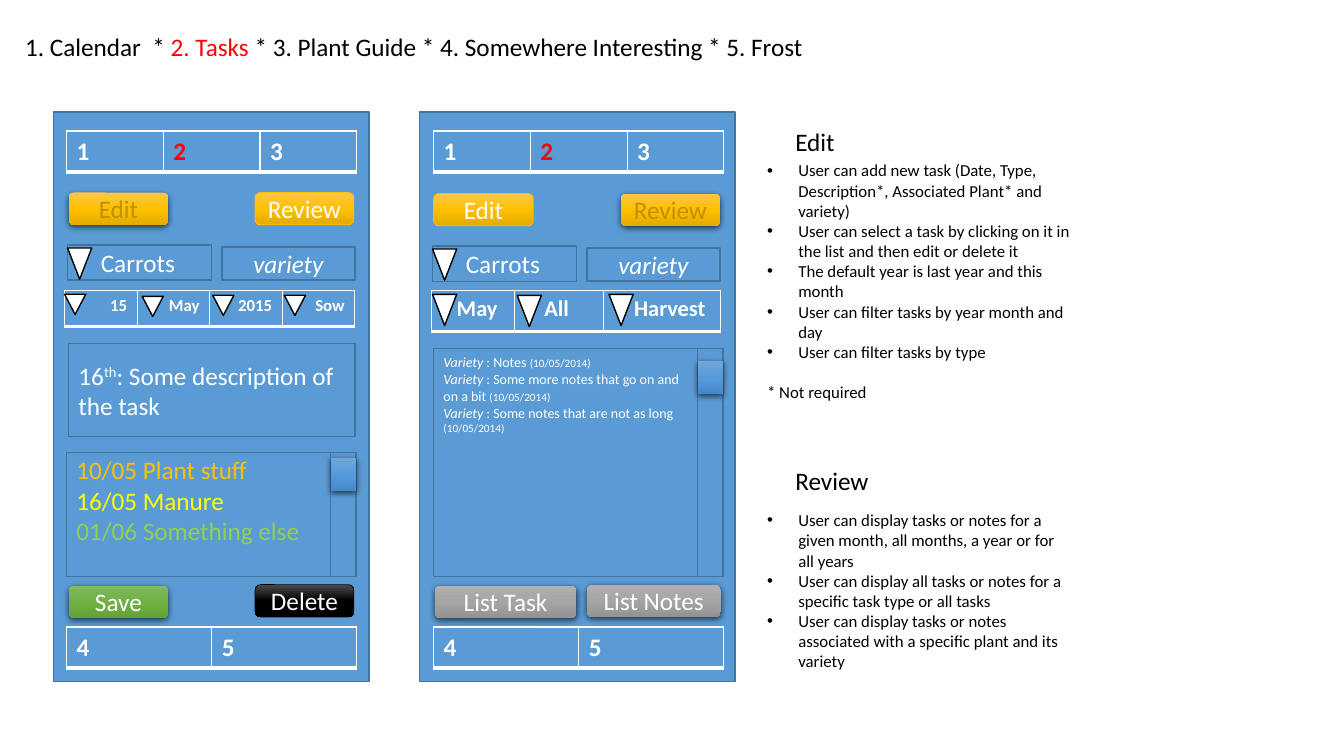
from pptx import Presentation
from pptx.dml.color import RGBColor
from pptx.enum.shapes import MSO_SHAPE
from pptx.enum.text import MSO_ANCHOR, PP_ALIGN
from pptx.oxml import parse_xml
from pptx.oxml.ns import nsdecls, qn
from pptx.util import Inches, Pt

WHITE = RGBColor(0xFF, 0xFF, 0xFF)
BLACK = RGBColor(0x00, 0x00, 0x00)
RED = RGBColor(0xFF, 0x00, 0x00)
BLUE = RGBColor(0x5B, 0x9B, 0xD5)
NAVY = RGBColor(0x43, 0x73, 0x9E)
GOLD = RGBColor(0xFF, 0xC0, 0x00)
DARK_GOLD = RGBColor(0xBF, 0x90, 0x00)
YELLOW = RGBColor(0xFF, 0xFF, 0x00)
LIME = RGBColor(0x92, 0xD0, 0x50)
GOLD_SHADES = (RGBColor(0xFF, 0xC6, 0x4B), GOLD, RGBColor(0xE3, 0xAB, 0x00))
GREEN_SHADES = (RGBColor(0x81, 0xB8, 0x61), RGBColor(0x6F, 0xB2, 0x42), RGBColor(0x62, 0xA3, 0x36))
GREY_SHADES = (RGBColor(0xAF, 0xAF, 0xAF), RGBColor(0xA5, 0xA5, 0xA5), RGBColor(0x93, 0x93, 0x93))
BLACK_SHADES = (RGBColor(0x4B, 0x4B, 0x4B), BLACK, BLACK)
BLUE_SHADES = (RGBColor(0x71, 0xA6, 0xDB), RGBColor(0x55, 0x9B, 0xDB), RGBColor(0x44, 0x8A, 0xCA))

prs = Presentation()
prs.slide_width, prs.slide_height = Inches(13.33), Inches(7.5)
slide = prs.slides.add_slide(prs.slide_layouts[6])


def write(frame, paragraphs, size=18, color=WHITE, bold=False, italic=False,
          align=PP_ALIGN.LEFT, bullet=False, wrap=True):
    frame.word_wrap = wrap
    for index, runs in enumerate(paragraphs):
        paragraph = frame.add_paragraph() if index else frame.paragraphs[0]
        paragraph.alignment = align
        if bullet:
            props = paragraph._p.get_or_add_pPr()
            props.set("marL", str(Inches(0.31)))
            props.set("indent", str(-Inches(0.31)))
            props.append(parse_xml(f'<a:buFont {nsdecls("a")} typeface="Arial"/>'))
            props.append(parse_xml(f'<a:buChar {nsdecls("a")} char="•"/>'))
        for text, style in [(runs, {})] if isinstance(runs, str) else runs:
            if text == "\n":
                paragraph.add_line_break()
                continue
            run = paragraph.add_run()
            run.text = text
            run.font.name = "Calibri"
            run.font.size = Pt(style.get("size", size))
            run.font.color.rgb = style.get("color", color)
            run.font.bold = bold
            run.font.italic = style.get("italic", italic)
            if "baseline" in style:
                run._r.get_or_add_rPr().set("baseline", str(style["baseline"]))


def draw(left, top, width, height, kind=MSO_SHAPE.RECTANGLE, fill=BLUE, shades=None,
         line=NAVY, line_width=1, raised=False, canvas=slide.shapes):
    shape = canvas.add_shape(kind, Inches(left), Inches(top), Inches(width), Inches(height))
    shape.shadow.inherit = False
    if shades:
        shape.fill.gradient()
        shape.fill.gradient_angle = 270
        stops = shape._element.spPr.find(qn("a:gradFill")).find(qn("a:gsLst"))
        for stop in list(stops):
            stops.remove(stop)
        for position, shade in zip((0, 50000, 100000), shades):
            stops.append(parse_xml(
                f'<a:gs {nsdecls("a")} pos="{position}"><a:srgbClr val="{shade}"/></a:gs>'))
    else:
        shape.fill.solid()
        shape.fill.fore_color.rgb = fill
    if raised:
        shape.line.fill.background()
        shape._element.spPr.find(qn("a:effectLst")).append(parse_xml(
            f'<a:outerShdw {nsdecls("a")} blurRad="{Pt(4.5)}" dist="{Pt(1.5)}" dir="5400000" '
            'algn="ctr" rotWithShape="0"><a:srgbClr val="000000"><a:alpha val="63000"/>'
            '</a:srgbClr></a:outerShdw>'))
    else:
        shape.line.color.rgb = line
        shape.line.width = Pt(line_width)
    shape.text_frame.vertical_anchor = MSO_ANCHOR.MIDDLE
    return shape


for phone_left in (0.53, 4.16):
    draw(phone_left, 1.11, 3.13, 5.65)

menu_rows = []
for menu_left in (0.66, 4.3):
    menu_rows.append((menu_left, 1.3, 0.41, [0.96] * 3, ["1", "2", "3"], 18, PP_ALIGN.LEFT, [0.1] * 3))
    menu_rows.append((menu_left, 6.22, 0.41, [1.44] * 2, ["4", "5"], 18, PP_ALIGN.LEFT, [0.1] * 2))
filter_rows = [
    (4.28, 2.88, 0.41, [0.82, 0.89, 1.16], ["May", "All", "Harvest"], 16, PP_ALIGN.LEFT, [0.25, 0.3, 0.3]),
    (0.64, 2.88, 0.36, [0.72] * 4, ["15", "May", "2015", "Sow"], 12, PP_ALIGN.RIGHT, [0.1] * 4),
]
for left, top, height, widths, labels, size, align, margins in menu_rows + filter_rows:
    table = slide.shapes.add_table(1, len(widths), Inches(left), Inches(top),
                                   Inches(sum(widths)), Inches(height)).table
    table.first_row = table.horz_banding = False
    for column, (width, label, margin) in enumerate(zip(widths, labels, margins)):
        table.columns[column].width = Inches(width)
        cell = table.cell(0, column)
        cell.margin_left = Inches(margin)
        write(cell.text_frame, [label], size=size, bold=True, align=align,
              color=RED if label == "2" else WHITE)
        props = cell._tc.get_or_add_tcPr()
        for side, points in (("L", 1), ("R", 1), ("T", 1), ("B", 3)):
            props.append(parse_xml(
                f'<a:ln{side} {nsdecls("a")} w="{Pt(points)}"><a:solidFill>'
                f'<a:srgbClr val="{WHITE}"/></a:solidFill></a:ln{side}>'))
        cell.fill.solid()
        cell.fill.fore_color.rgb = BLUE

for left, top in ((0.67, 2.43), (4.29, 2.44)):
    plant = draw(left, top, 1.43, 0.35)
    plant.text_frame.margin_left = Inches(0.33)
    write(plant.text_frame, ["Carrots"])
    variety = draw(left + 1.53, top + 0.02, 1.32, 0.33)
    write(variety.text_frame, ["variety"], italic=True, align=PP_ALIGN.CENTER)

plant_arrows = [(0.67, 2.46, 0.24, 0.31), (4.29, 2.47, 0.24, 0.31)]
review_arrows = [(left, top, 0.24, 0.31) for left, top in ((4.29, 2.92), (5.13, 2.93), (6.04, 2.92))]
date_arrows = [(left, top, 0.21, 0.2)
               for left, top in ((0.64, 2.92), (1.41, 2.94), (2.11, 2.93), (2.82, 2.93))]
for arrow in plant_arrows + review_arrows + date_arrows:
    draw(*arrow, kind=MSO_SHAPE.FLOWCHART_MERGE, fill=WHITE, line=BLACK)

for label, left, top, width, shades, color, outline in (
    ("Edit", 0.68, 1.91, 0.99, GOLD_SHADES, DARK_GOLD, None),
    ("Review", 2.53, 1.91, 0.98, GOLD_SHADES, WHITE, GOLD),
    ("Save", 0.68, 5.81, 0.99, GREEN_SHADES, WHITE, None),
    ("Delete", 2.53, 5.8, 0.98, BLACK_SHADES, WHITE, BLACK),
    ("Edit", 4.3, 1.92, 0.99, GOLD_SHADES, WHITE, GOLD),
    ("Review", 6.16, 1.92, 0.98, GOLD_SHADES, DARK_GOLD, None),
    ("List Task", 4.31, 5.81, 1.41, GREY_SHADES, WHITE, None),
    ("List Notes", 5.82, 5.8, 1.33, GREY_SHADES, WHITE, None),
):
    button = draw(left, top, width, 0.32, kind=MSO_SHAPE.ROUNDED_RECTANGLE, shades=shades,
                  line=outline, line_width=0.5, raised=outline is None)
    write(button.text_frame, [label], color=color, align=PP_ALIGN.CENTER)

description = draw(0.68, 3.41, 2.84, 0.92)
write(description.text_frame,
      [[("16", {}), ("th", {"baseline": 30000}), (": Some description of the task", {})]])

task_list = [[("10/05 Plant stuff", {"color": GOLD})],
             [("16/05 Manure", {"color": YELLOW})],
             [("01/06 Something else", {"color": LIME})]]
variety_name = ("Variety ", {"italic": True})
note_date = ("(10/05/2014)", {"size": 8})
note_list = [[variety_name, (": Notes ", {}), note_date],
             [variety_name, (": Some more notes that go on and ", {}), ("\n", {}),
              ("on a bit ", {}), note_date],
             [variety_name, (": Some notes that are not as long ", {}), note_date]]
for left, top, height, thumb_top, entries, size, margin in (
    (0.66, 4.49, 1.23, 4.54, task_list, 18, 0.02),
    (4.3, 3.46, 2.26, 3.58, note_list, 10, 0.05),
):
    group = slide.shapes.add_group_shape().shapes
    panel = draw(left, top, 2.87, height, canvas=group)
    panel.text_frame.vertical_anchor = MSO_ANCHOR.TOP
    panel.text_frame.margin_top = Inches(margin)
    write(panel.text_frame, entries, size=size)
    draw(left + 2.62, top, 0.25, height, canvas=group)
    draw(left + 2.62, thumb_top, 0.25, 0.33, shades=BLUE_SHADES, raised=True, canvas=group)

edit_points = [
    "User can add new task (Date, Type, Description*, Associated Plant* and variety)",
    "User can select a task by clicking on it in the list and then edit or delete it",
    "The default year is last year and this month",
    "User can filter tasks by year month and day",
    "User can filter tasks by type",
]
review_points = [
    "User can display tasks or notes for a given month, all months, a year or for all years",
    "User can display all tasks or notes for a specific task type or all tasks",
    "User can display tasks or notes associated with a specific plant and its variety",
]
page_list = [[("1. Calendar  *", {}), (" 2. Tasks ", {"color": RED}),
              ("* 3. Plant Guide * 4. Somewhere Interesting * 5. Frost", {})]]
heading = {"wrap": False}
points = {"size": 12, "bullet": True}
for left, top, width, height, paragraphs, style in (
    (0.15, 0.26, 7.95, 0.4, page_list, heading),
    (7.79, 1.2, 0.6, 0.4, ["Edit"], heading),
    (7.79, 4.57, 0.94, 0.4, ["Review"], heading),
    (7.51, 1.54, 3.22, 2.2, edit_points, points),
    (7.51, 3.74, 3.22, 0.32, ["* Not required"], {"size": 12}),
    (7.51, 5.01, 3.22, 1.72, review_points, points),
):
    box = slide.shapes.add_textbox(Inches(left), Inches(top), Inches(width), Inches(height))
    write(box.text_frame, paragraphs, color=BLACK, **style)

prs.save("out.pptx")
